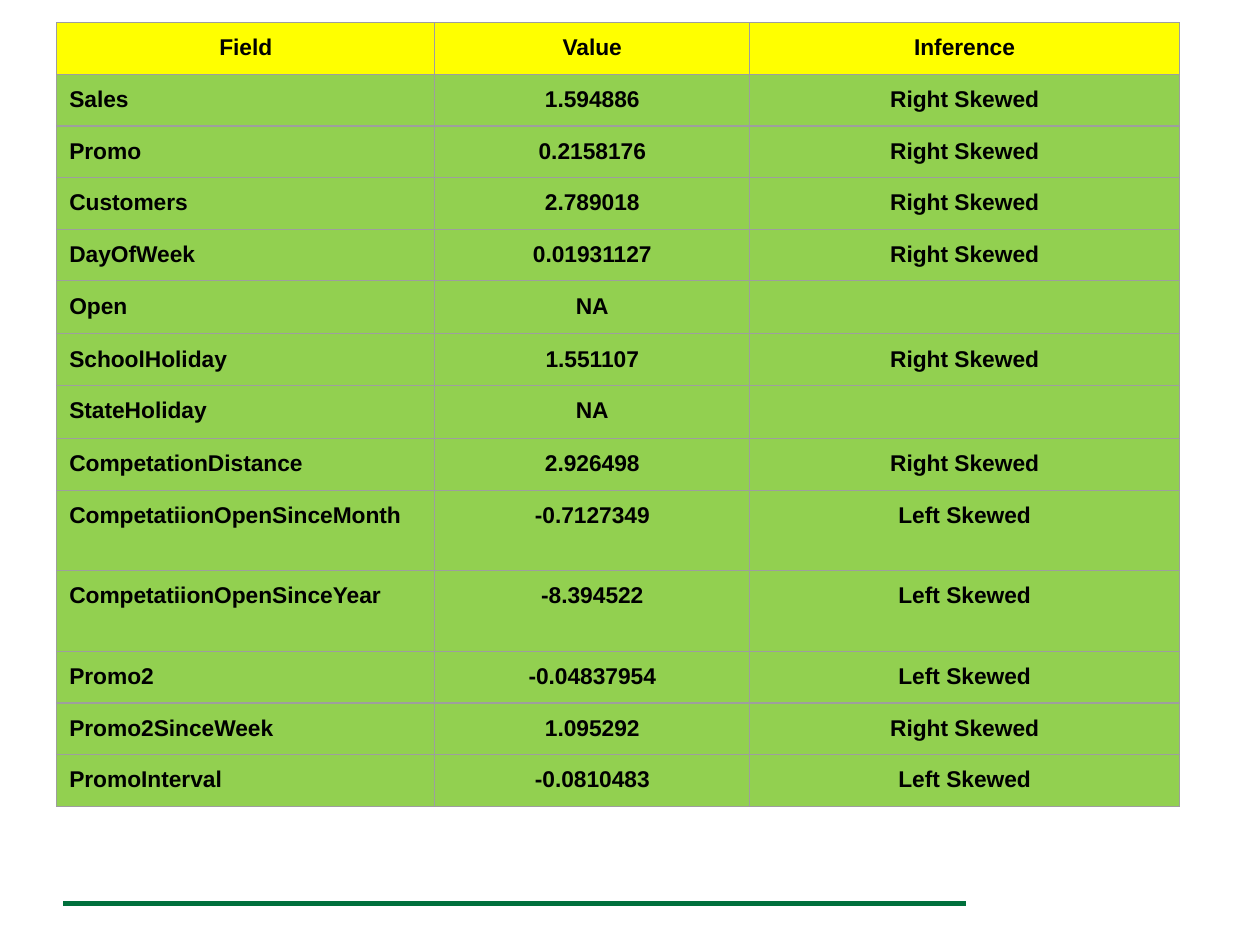
import pptx
import pptx.util
import pptx.dml.color
import pptx.enum.shapes
import pptx.enum.text
import pptx.oxml
import pptx.oxml.ns
from lxml import etree

WIDTH, HEIGHT = 10, 7.5
COLORS = {"header": "FFFF00", "body": "92D050", "text": "000000",
          "border": "9E9E9E", "rule": "00703C"}
FONT, SIZE = "Arial", 13
COLUMNS = [3, 2.5, 3.41]
ROW, TALL_ROW = 0.41, 0.64
TALL_FIELDS = {"CompetatiionOpenSinceMonth", "CompetatiionOpenSinceYear"}
RIGHT, LEFT = "Right Skewed", "Left Skewed"
ROWS = [
    ("Field", "Value", "Inference"),
    ("Sales", "1.594886", RIGHT),
    ("Promo", "0.2158176", RIGHT),
    ("Customers", "2.789018", RIGHT),
    ("DayOfWeek", "0.01931127", RIGHT),
    ("Open", "NA", ""),
    ("SchoolHoliday", "1.551107", RIGHT),
    ("StateHoliday", "NA", ""),
    ("CompetationDistance", "2.926498", RIGHT),
    ("CompetatiionOpenSinceMonth", "-0.7127349", LEFT),
    ("CompetatiionOpenSinceYear", "-8.394522", LEFT),
    ("Promo2", "-0.04837954", LEFT),
    ("Promo2SinceWeek", "1.095292", RIGHT),
    ("PromoInterval", "-0.0810483", LEFT),
]


def inches(value):
    return pptx.util.Inches(value)


def rgb(name):
    return pptx.dml.color.RGBColor.from_string(COLORS[name])


def add_text(tf, text, size=SIZE, color="text", bold=True, centered=False):
    p = tf.paragraphs[0]
    align = pptx.enum.text.PP_ALIGN
    p.alignment = align.CENTER if centered else align.LEFT
    if not text:
        end = etree.SubElement(p._p, pptx.oxml.ns.qn("a:endParaRPr"))
        end.set("sz", str(size * 100))
        return
    r = p.add_run()
    r.text = text
    r.font.name = FONT
    r.font.size = pptx.util.Pt(size)
    r.font.bold = bold
    r.font.color.rgb = rgb(color)


def set_borders(cell, color="border", points=0.75):
    props = cell._tc.get_or_add_tcPr()
    for side in ("lnL", "lnR", "lnT", "lnB"):
        ln = etree.SubElement(props, pptx.oxml.ns.qn(f"a:{side}"))
        ln.set("w", str(pptx.util.Pt(points)))
        fill = etree.SubElement(ln, pptx.oxml.ns.qn("a:solidFill"))
        etree.SubElement(fill, pptx.oxml.ns.qn("a:srgbClr")).set("val", COLORS[color])


def add_skewness_table(slide, left, top, width, height):
    row_heights = [TALL_ROW if row[0] in TALL_FIELDS else ROW for row in ROWS]
    frame = slide.shapes.add_table(len(ROWS), len(COLUMNS), inches(left),
                                   inches(top), inches(width), inches(height))
    table = frame.table
    table.first_row = False
    table.horz_banding = False
    for column, share in zip(table.columns, COLUMNS):
        column.width = inches(width * share / sum(COLUMNS))
    for row, share in zip(table.rows, row_heights):
        row.height = inches(height * share / sum(row_heights))
    for i, values in enumerate(ROWS):
        for j, value in enumerate(values):
            cell = table.cell(i, j)
            cell.margin_left = cell.margin_right = inches(0.1)
            cell.margin_top = cell.margin_bottom = inches(0.1)
            set_borders(cell)
            cell.fill.solid()
            cell.fill.fore_color.rgb = rgb("body" if i else "header")
            add_text(cell.text_frame, value, centered=i == 0 or j > 0)


def add_footer_rule(slide, left, top, width):
    line = slide.shapes.add_connector(
        pptx.enum.shapes.MSO_CONNECTOR.STRAIGHT,
        inches(left), inches(top), inches(left + width), inches(top))
    line.line.color.rgb = rgb("rule")
    line.line.width = pptx.util.Pt(2.5)
    etree.SubElement(line._element.spPr, pptx.oxml.ns.qn("a:effectLst"))


def main():
    prs = pptx.Presentation()
    prs.slide_width = inches(WIDTH)
    prs.slide_height = inches(HEIGHT)
    slide = prs.slides.add_slide(prs.slide_layouts[6])
    add_footer_rule(slide, 0.05 * WIDTH, 7.17, 7.17)
    table_height = ROW * (len(ROWS) - len(TALL_FIELDS)) + TALL_ROW * len(TALL_FIELDS)
    add_skewness_table(slide, 0.45, 0.18, sum(COLUMNS), table_height)
    prs.save("out.pptx")


if __name__ == "__main__":
    main()
